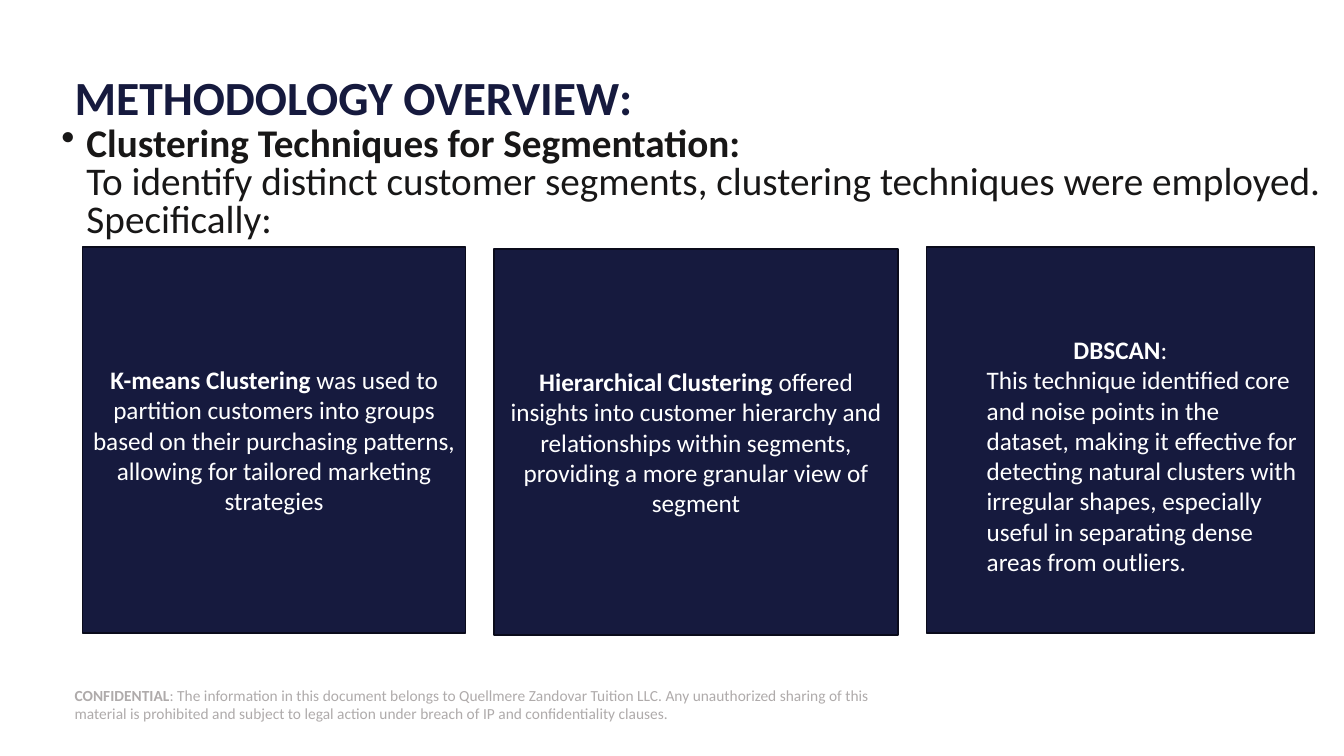
from dataclasses import dataclass

from lxml import etree
from pptx import Presentation
from pptx.dml.color import RGBColor
from pptx.enum.shapes import MSO_SHAPE
from pptx.enum.text import MSO_ANCHOR, PP_ALIGN
from pptx.oxml.ns import qn
from pptx.util import Pt

RECTANGLE = MSO_SHAPE.RECTANGLE
TOP, MIDDLE = MSO_ANCHOR.TOP, MSO_ANCHOR.MIDDLE
LEFT, CENTER = PP_ALIGN.LEFT, PP_ALIGN.CENTER
FONT = "Calibri"
NAVY, EDGE, WHITE, INK, GREY = "161A3E", "0A0B1B", "FFFFFF", "181717", "AFABAB"
CARD_HEIGHT = 275.8


@dataclass(frozen=True)
class TextLine:
    bold: str
    plain: str = ""
    align: PP_ALIGN = LEFT
    indent: float = 0
    bullet: str = ""
    spacing: float = 1
    break_after_bold: bool = False


@dataclass(frozen=True)
class TextBlock:
    left: float
    top: float
    width: float
    height: float
    size: float
    color: str
    lines: tuple[TextLine, ...]
    inset: float = 0
    anchor: MSO_ANCHOR = MIDDLE


@dataclass(frozen=True)
class Card:
    left: float
    top: float
    width: float
    lines: tuple[TextLine, ...]
    top_inset: float = 3.6


TEXT_BLOCKS = (
    TextBlock(53.3, 488.9, 588.2, 28.8, 11, GREY, (TextLine(
        "CONFIDENTIAL",
        ": The information in this document belongs to Quellmere Zandovar Tuition LLC. "
        "Any unauthorized sharing of this material is prohibited and subject to legal "
        "action under breach of IP and confidentiality clauses."),)),
    TextBlock(53.3, 47.5, 853.2, 48.2, 34, NAVY,
              (TextLine("METHODOLOGY OVERVIEW:", spacing=0.9),)),
    TextBlock(36.7, 87.8, 925.9, 97.2, 28, INK, (TextLine(
        "Clustering Techniques for Segmentation:",
        "To identify distinct customer segments, clustering techniques were employed. "
        "Specifically:",
        indent=18, bullet="•", spacing=0.8, break_after_bold=True),),
        inset=7.2, anchor=TOP),
)

CARDS = (
    Card(59, 176.4, 273.6, (TextLine(
        "K-means Clustering",
        " was used to partition customers into groups based on their purchasing "
        "patterns, allowing for tailored marketing strategies", CENTER),)),
    Card(352.8, 177.8, 288.7, (TextLine(
        "Hierarchical Clustering",
        " offered insights into customer hierarchy and relationships within segments, "
        "providing a more granular view of segment", CENTER),)),
    Card(661.7, 176.4, 277.2, (
        TextLine("DBSCAN", ":", CENTER),
        TextLine("", "This technique identified core and noise points in the dataset, "
                 "making it effective for detecting natural clusters with irregular shapes, "
                 "especially useful in separating dense areas from outliers.", indent=36),
    ), top_inset=25.6),
)


def rgb(value: str) -> RGBColor:
    return RGBColor.from_string(value)


def write_line(paragraph, line: TextLine, size: float, color: str) -> None:
    paragraph.alignment = line.align
    paragraph.line_spacing = line.spacing
    paragraph.font.name = FONT
    paragraph.font.size = Pt(size)
    paragraph.font.color.rgb = rgb(color)
    if line.indent:
        properties = paragraph._p.get_or_add_pPr()
        properties.set("marL", str(Pt(line.indent)))
        if line.bullet:
            properties.set("indent", str(-Pt(line.indent)))
            bullet = etree.Element(qn("a:buChar"), char=line.bullet)
            properties.find(qn("a:defRPr")).addprevious(bullet)
    if line.bold:
        run = paragraph.add_run()
        run.text = line.bold
        run.font.bold = True
    if line.break_after_bold:
        paragraph.add_line_break()
    if line.plain:
        paragraph.add_run().text = line.plain


def write_text(frame, lines: tuple[TextLine, ...], size: float, color: str,
               anchor: MSO_ANCHOR) -> None:
    frame.word_wrap = True
    frame.vertical_anchor = anchor
    for index, line in enumerate(lines):
        paragraph = frame.add_paragraph() if index else frame.paragraphs[0]
        write_line(paragraph, line, size, color)


def draw_text_block(slide, block: TextBlock) -> None:
    shape = slide.shapes.add_textbox(
        Pt(block.left), Pt(block.top), Pt(block.width), Pt(block.height))
    frame = shape.text_frame
    frame.margin_left = frame.margin_right = Pt(block.inset)
    frame.margin_top = frame.margin_bottom = Pt(block.inset / 2)
    write_text(frame, block.lines, block.size, block.color, block.anchor)


def draw_card(slide, card: Card) -> None:
    shape = slide.shapes.add_shape(
        RECTANGLE, Pt(card.left), Pt(card.top), Pt(card.width), Pt(CARD_HEIGHT))
    shape.shadow.inherit = False
    shape.fill.solid()
    shape.fill.fore_color.rgb = rgb(NAVY)
    shape.line.color.rgb = rgb(EDGE)
    shape.line.width = Pt(1)
    shape.text_frame.margin_top = Pt(card.top_inset)
    write_text(shape.text_frame, card.lines, 18, WHITE, MIDDLE)


def main() -> None:
    presentation = Presentation()
    presentation.slide_width = Pt(960)
    presentation.slide_height = Pt(540)
    slide = presentation.slides.add_slide(presentation.slide_layouts[6])
    for block in TEXT_BLOCKS:
        draw_text_block(slide, block)
    for card in CARDS:
        draw_card(slide, card)
    presentation.save("out.pptx")


if __name__ == "__main__":
    main()
